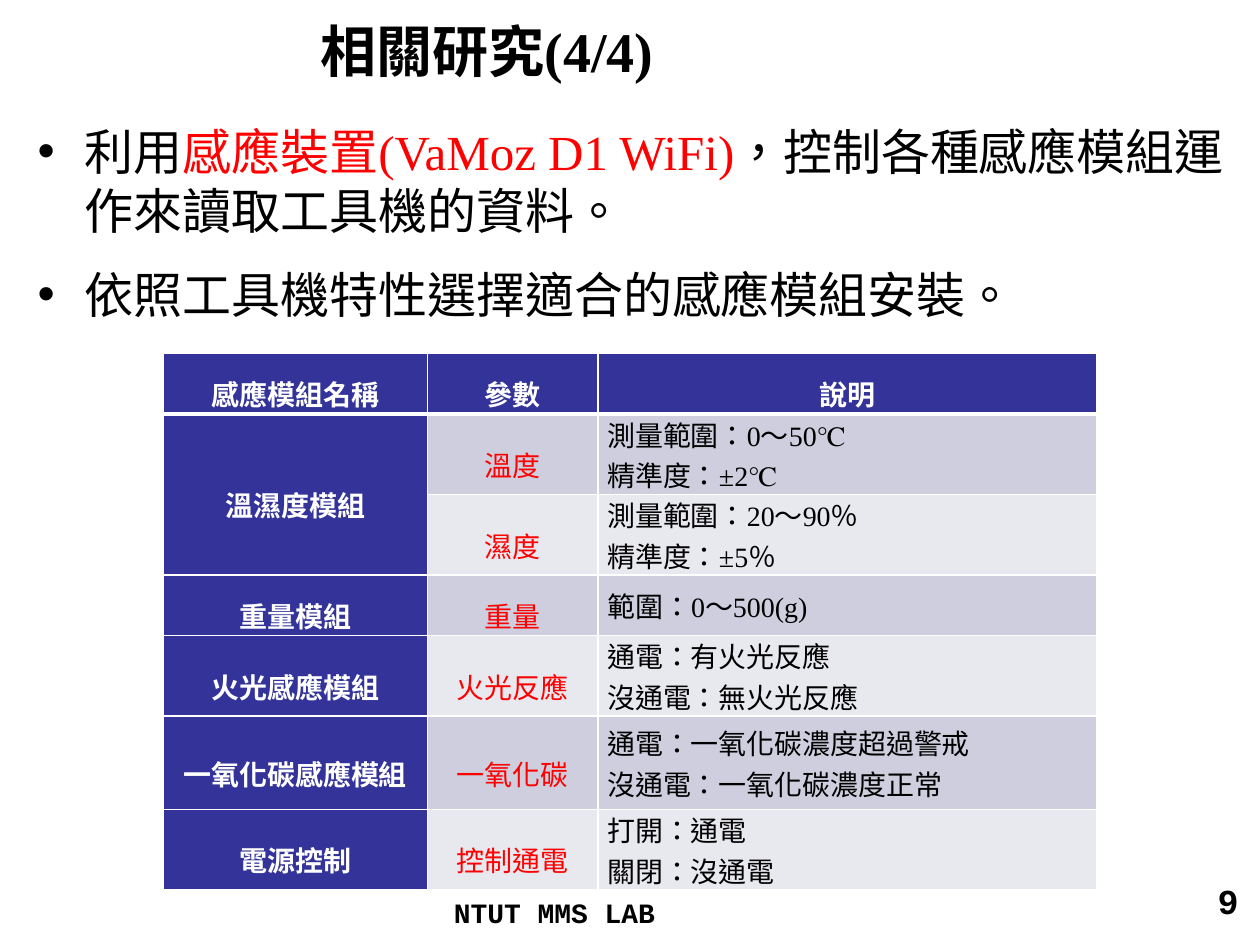
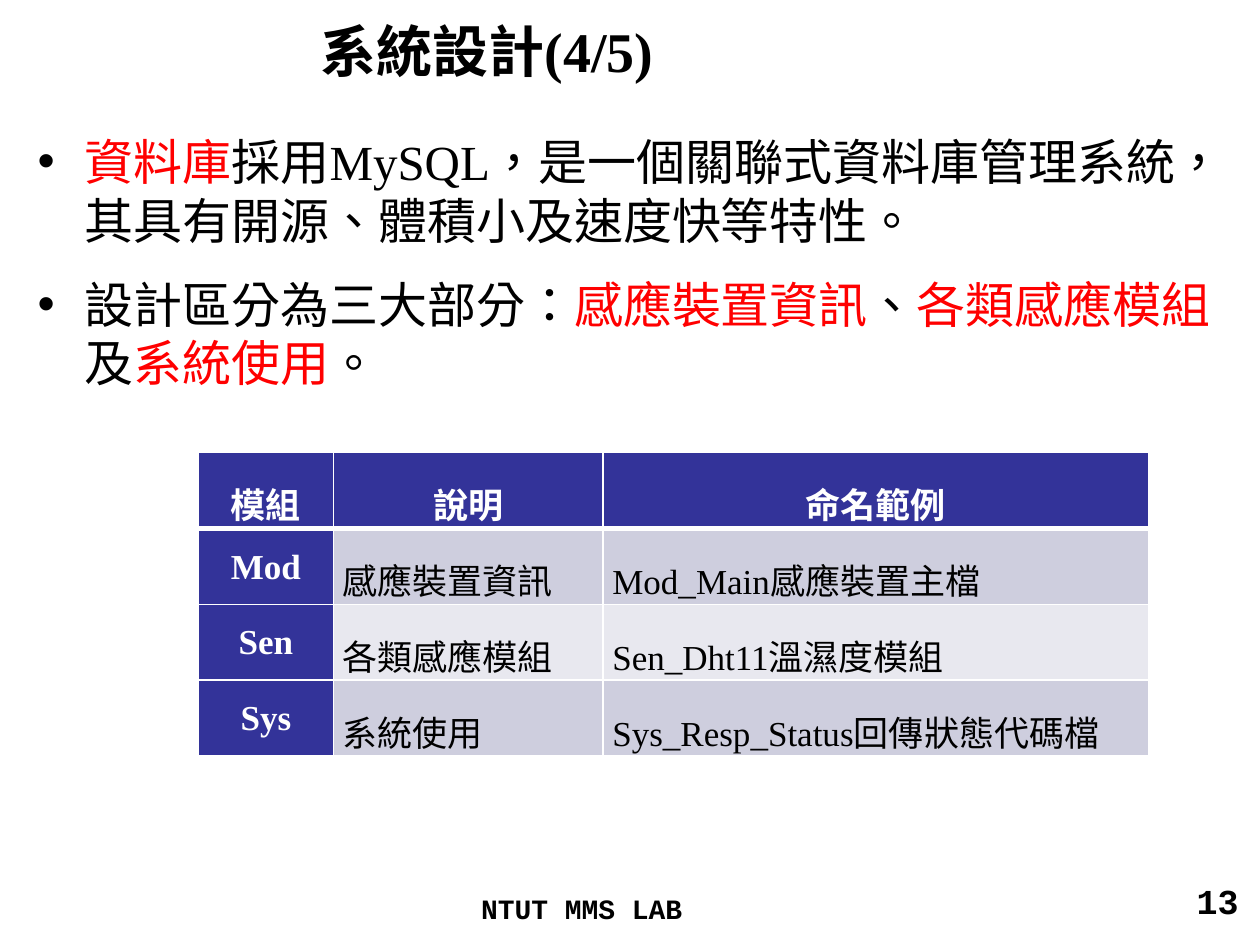
import dataclasses
import itertools
import typing

import pptx
import pptx.dml.color
import pptx.enum.text
import pptx.oxml
import pptx.oxml.ns
import pptx.util

WIDE, HIGH = 10, 7.5
COLS, ROWS = 100, 75  # the slide's layout grid
HUES = {"ink": "000000", "red": "FF0000", "white": "FFFFFF",
        "head": "333399", "odd": "CECEDE", "even": "E8E8EF"}
ALIGN = pptx.enum.text.PP_ALIGN
ANCHOR = pptx.enum.text.MSO_ANCHOR
STYLES = {
    "title": {"name": "Times New Roman", "size": 32, "bold": True},
    "body": {"name": "Times New Roman", "size": 28, "bold": False},
    "foot": {"name": "Courier New", "size": 16, "bold": True},
    "page": {"name": "Courier New", "size": 20, "bold": True},
}


class Box(typing.NamedTuple):
    """Place and size in grid columns and rows."""
    x: float
    y: float
    w: float
    h: float


@dataclasses.dataclass
class Grid:
    """A table; '|' splits paragraphs, None joins a cell to the one above."""
    x: float
    y: float
    cols: list[float]
    rows: list[float]
    size: int
    mid: int  # how many leading columns are centred
    red: int | None  # the column in red
    lead: float  # line spacing of left-aligned cells
    anchor: typing.Any
    cells: list[list[str | None]]


@dataclasses.dataclass
class Page:
    title: str
    num: int
    top: float
    foot: tuple[float, float]
    points: list[str]
    grid: Grid


PAGES = [
    Page("相關研究(4/4)", 9, 9.15, (35.05, 70.6), [
        "利用*感應裝置(VaMoz D1 WiFi)*，控制各種感應模組運作來讀取工具機的資料。",
        "依照工具機特性選擇適合的感應模組安裝。",
    ], Grid(12.95, 28.05, [21, 13.5, 39.6], [4.8, 6.4, 6.4, 4.8, 6.4, 7.4, 6.4],
            16, 2, 1, 1, ANCHOR.MIDDLE, [
        ["感應模組名稱", "參數", "說明"],
        ["溫濕度模組", "溫度", "測量範圍：0〜50℃|精準度：±2℃"],
        [None, "濕度", "測量範圍：20〜90％|精準度：±5％"],
        ["重量模組", "重量", "範圍：0〜500(g)"],
        ["火光感應模組", "火光反應", "通電：有火光反應|沒通電：無火光反應"],
        ["一氧化碳感應模組", "一氧化碳", "通電：一氧化碳濃度超過警戒|沒通電：一氧化碳濃度正常"],
        ["電源控制", "控制通電", "打開：通電|關閉：沒通電"],
    ])),
    Page("系統設計(4/5)", 13, 9.95, (37.2, 70.25), [
        "*資料庫*採用MySQL，是一個關聯式資料庫管理系統，其具有開源、體積小及速度快等特性。",
        "設計區分為三大部分：*感應裝置資訊*、*各類感應模組*及*系統使用*。",
    ], Grid(15.75, 35.9, [10.7, 21.4, 43.3], [6.03] * 4,
            20, 1, None, 1.5, ANCHOR.TOP, [
        ["模組", "說明", "命名範例"],
        ["Mod", "感應裝置資訊", "Mod_Main感應裝置主檔"],
        ["Sen", "各類感應模組", "Sen_Dht11溫濕度模組"],
        ["Sys", "系統使用", "Sys_Resp_Status回傳狀態代碼檔"],
    ])),
]


def across(n: float) -> int:
    return pptx.util.Inches(n * WIDE / COLS)


def down(n: float) -> int:
    return pptx.util.Inches(n * HIGH / ROWS)


def place(box: Box) -> tuple[int, int, int, int]:
    return across(box.x), down(box.y), across(box.w), down(box.h)


def shade(hue: str) -> pptx.dml.color.RGBColor:
    return pptx.dml.color.RGBColor.from_string(HUES[hue])


def make(tag: str, **attrs: str) -> typing.Any:
    node = pptx.oxml.parse_xml(f"<{tag} {pptx.oxml.ns.nsdecls('a')}/>")
    for key, val in attrs.items():
        node.set(key, val)
    return node


def write(para: typing.Any, text: str, style: dict, hue: str = "ink") -> None:
    """Fill a paragraph; parts between asterisks turn red."""
    for part, tone in zip(text.split("*"), itertools.cycle([hue, "red"])):
        if part:
            run = para.add_run()
            run.text = part
            run._r.get_or_add_rPr().set("lang", "zh-TW")
            for key, val in style.items():
                setattr(run.font, key, pptx.util.Pt(val) if key == "size" else val)
            run.font.color.rgb = shade(tone)


def label(slide: typing.Any, box: Box, text: str, style: str,
          align: typing.Any = ALIGN.LEFT, anchor: typing.Any = ANCHOR.TOP) -> None:
    frame = slide.shapes.add_textbox(*place(box)).text_frame
    frame.word_wrap = True
    frame.vertical_anchor = anchor
    frame.paragraphs[0].alignment = align
    write(frame.paragraphs[0], text, STYLES[style])


def bullets(slide: typing.Any, box: Box, points: list[str]) -> None:
    frame = slide.shapes.add_textbox(*place(box)).text_frame
    frame.word_wrap = True
    dent = across(3.75)
    for i, text in enumerate(points):
        para = frame.add_paragraph() if i else frame.paragraphs[0]
        props = para._p.get_or_add_pPr()
        for key, val in {"marL": dent, "indent": -dent, "hangingPunct": 0}.items():
            props.set(key, str(val))
        tint = make("a:buClr")
        tint.append(make("a:srgbClr", val=HUES["ink"]))
        props.extend([tint, make("a:buFont", typeface="Arial"),
                      make("a:buChar", char="•")])
        if i:
            para.space_before = pptx.util.Pt(14.2)
        write(para, text, STYLES["body"])


def border(cell: typing.Any, row: int) -> None:
    """White edges, thick under the header row."""
    wide = {"T": 3 if row == 1 else 1, "B": 3 if row == 0 else 1}
    for side in "LRTB":
        line = make(f"a:ln{side}", w=str(pptx.util.Pt(wide.get(side, 1))))
        fill = make("a:solidFill")
        fill.append(make("a:srgbClr", val=HUES["white"]))
        line.append(fill)
        cell._tc.get_or_add_tcPr().append(line)


def dress(cell: typing.Any, grid: Grid, row: int, col: int) -> None:
    """Give a cell its edges, fill and text."""
    head = row == 0 or col == 0
    mid = row == 0 or col < grid.mid
    border(cell, row)
    cell.fill.solid()
    cell.fill.fore_color.rgb = shade("head" if head else "odd" if row % 2 else "even")
    looks = {"margin_left": across(0.75), "margin_right": across(0.75),
             "margin_top": 0, "margin_bottom": 0, "vertical_anchor": grid.anchor}
    for key, val in looks.items():
        setattr(cell, key, val)
    style = STYLES["body"] | {"size": grid.size, "bold": head}
    hue = "white" if head else "red" if col == grid.red else "ink"
    text = grid.cells[row][col]
    if text is None:
        return
    for i, part in enumerate(text.split("|")):
        para = cell.text_frame.add_paragraph() if i else cell.text_frame.paragraphs[0]
        para.alignment = ALIGN.CENTER if mid else ALIGN.LEFT
        para.line_spacing = 1.5 if mid else grid.lead
        write(para, part, style, hue)


def tabulate(slide: typing.Any, grid: Grid) -> None:
    box = Box(grid.x, grid.y, sum(grid.cols), sum(grid.rows))
    table = slide.shapes.add_table(len(grid.rows), len(grid.cols), *place(box)).table
    table.first_row = table.horz_banding = False
    for col, w in zip(table.columns, grid.cols):
        col.width = across(w)
    for row, h in zip(table.rows, grid.rows):
        row.height = down(h)
    for r, c in itertools.product(range(len(grid.rows)), range(len(grid.cols))):
        dress(table.cell(r, c), grid, r, c)
        if grid.cells[r][c] is None:
            table.cell(r - 1, c).merge(table.cell(r, c))


def draw(deck: typing.Any, page: Page) -> None:
    slide = deck.slides.add_slide(deck.slide_layouts[6])
    label(slide, Box(24.45, 0, 75.55, 7.9), page.title, "title", anchor=ANCHOR.MIDDLE)
    bullets(slide, Box(2, page.top, 96.9, 58.2), page.points)
    label(slide, Box(76, 69.3, 23.3, 5.2), str(page.num), "page", ALIGN.RIGHT)
    label(slide, Box(*page.foot, 32.4, 3.2), "NTUT MMS LAB", "foot")
    tabulate(slide, page.grid)


def main() -> None:
    deck = pptx.Presentation()
    deck.slide_width = pptx.util.Inches(WIDE)
    deck.slide_height = pptx.util.Inches(HIGH)
    for page in PAGES:
        draw(deck, page)
    deck.save("out.pptx")


if __name__ == "__main__":
    main()
